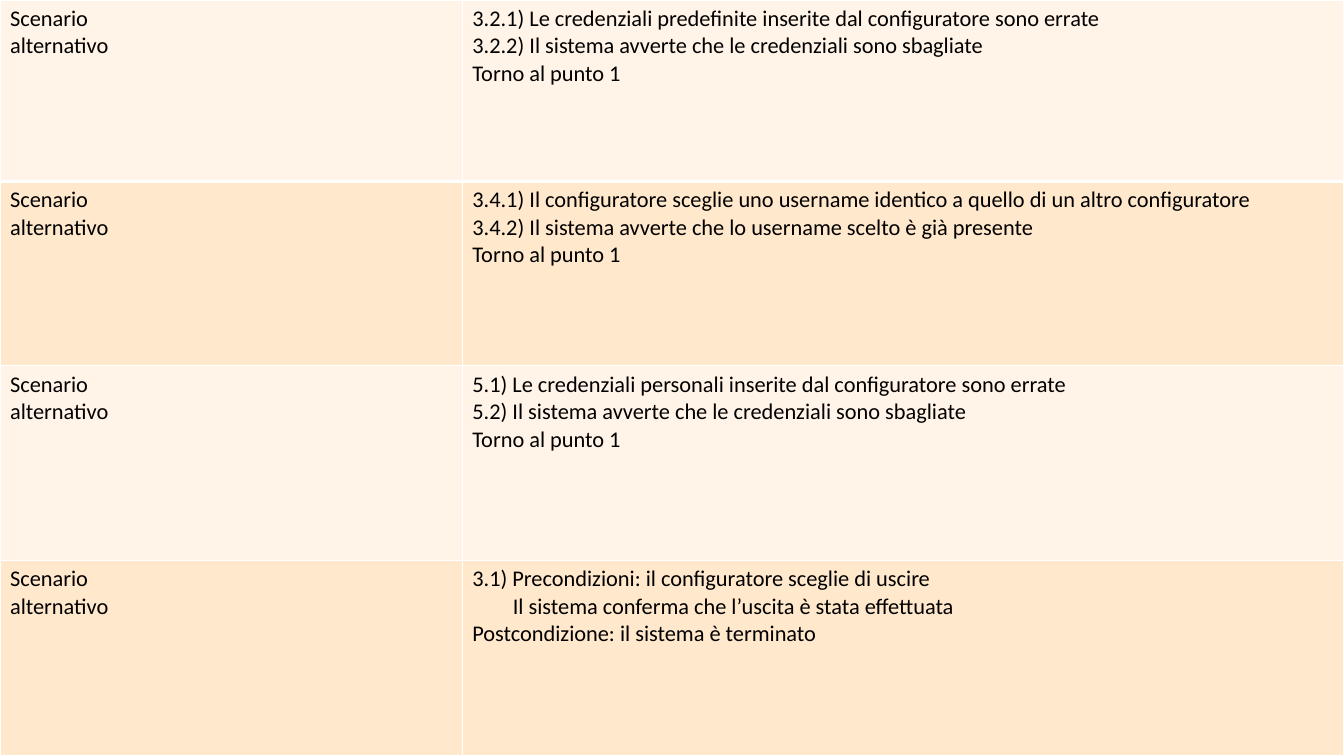
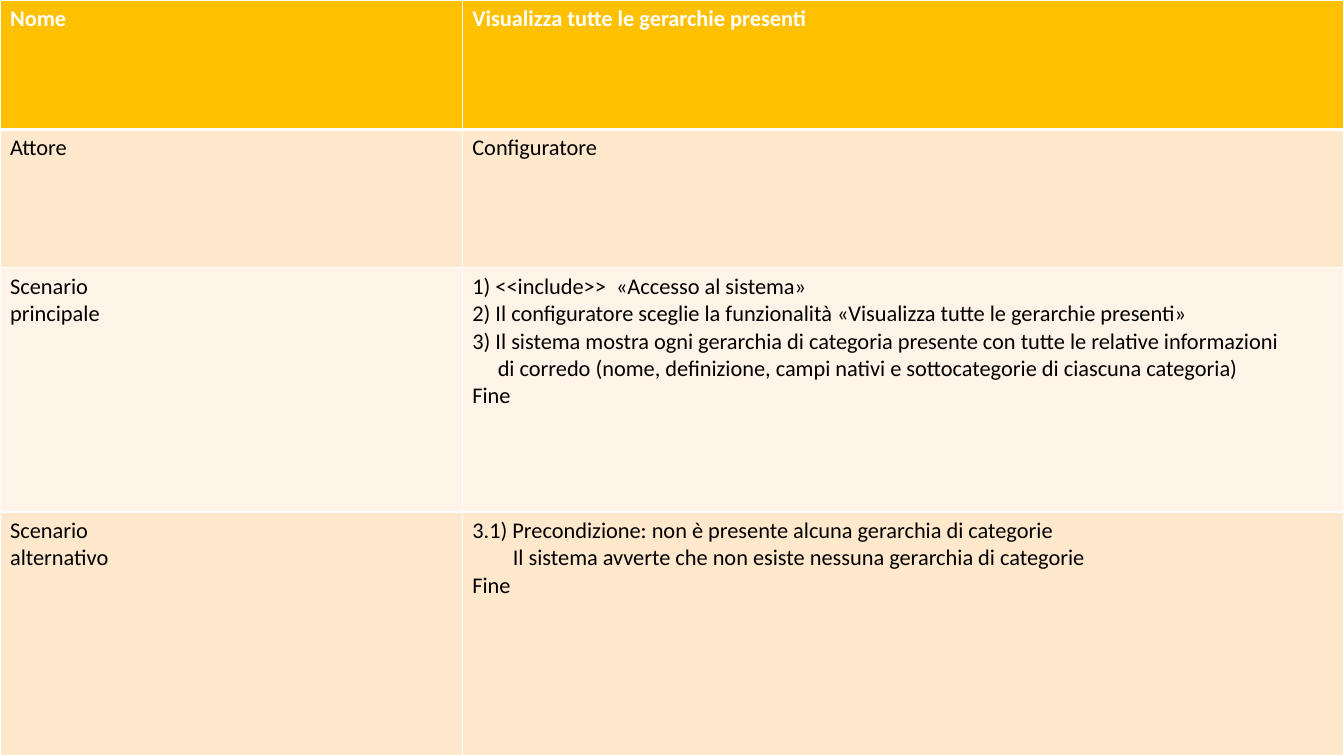
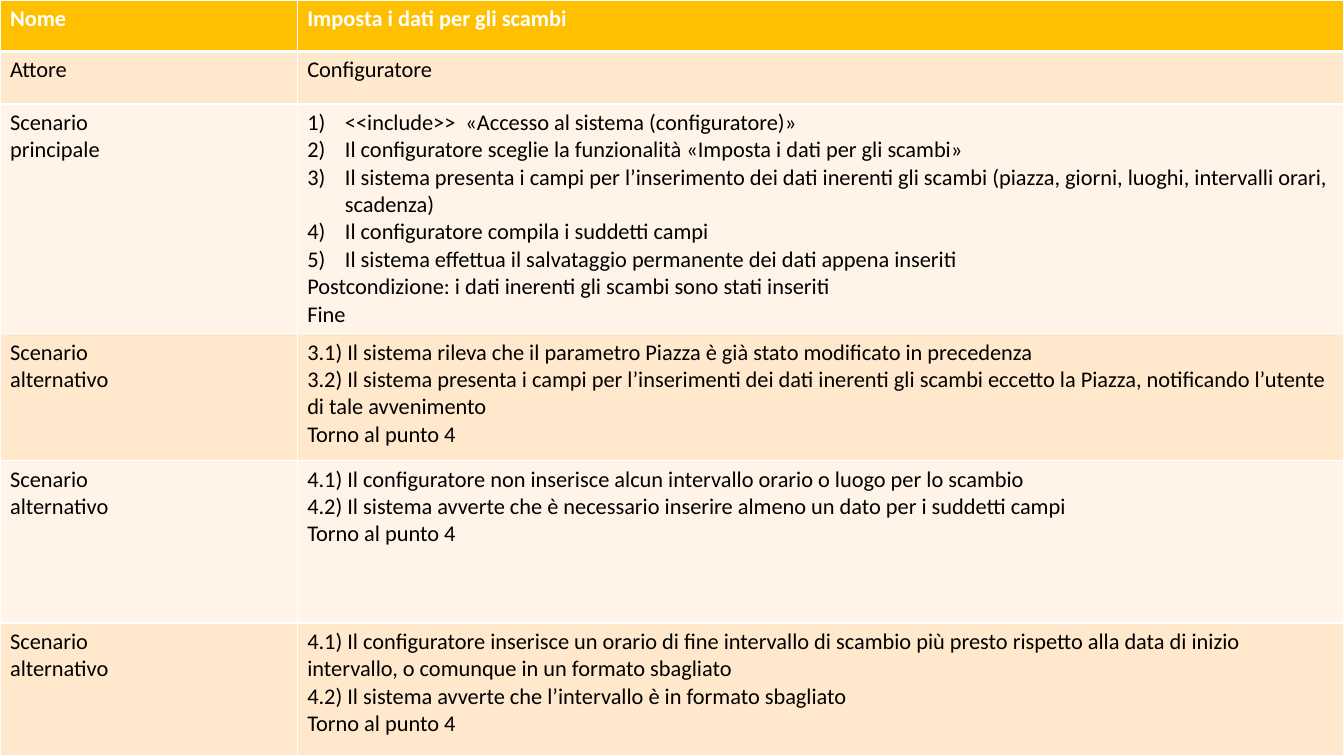
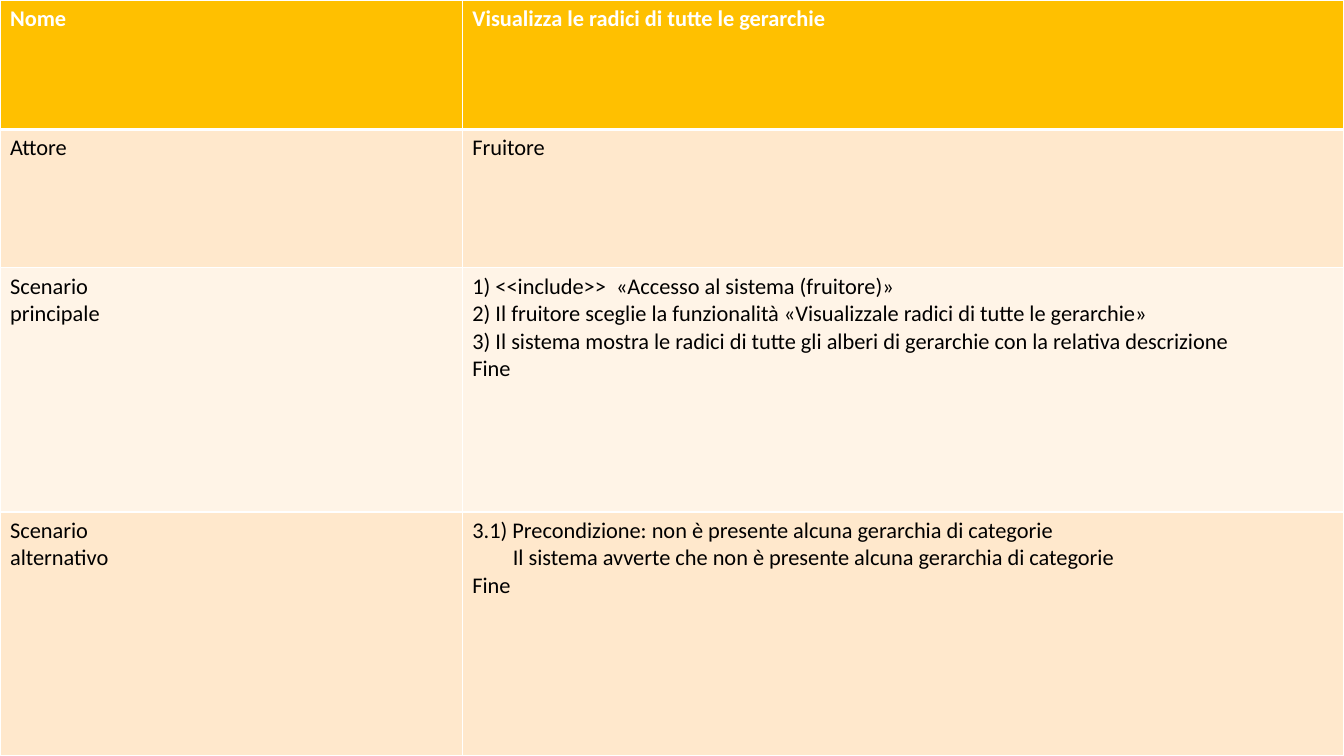
from dataclasses import dataclass

from lxml.etree import SubElement
from pptx import Presentation
from pptx.dml.color import RGBColor
from pptx.oxml.ns import qn
from pptx.util import Cm, Pt

# Shared style
WIDTH, HEIGHT = 33.87, 19.05
WHITE, BLACK, GOLD = "FFFFFF", "000000", "FFC000"
BANDS = ("FFF4E7", "FFE8CC")
BODY = {"name": "Calibri", "size": Pt(16), "bold": False}
HEADER = {**BODY, "bold": True}
THIN, THICK = 1, 3

# Row labels
MAIN = ("Scenario", "principale")
ALTERNATIVE = ("Scenario", "alternativo")


def color(value):
    return RGBColor.from_string(value)


@dataclass
class Line:
    """A paragraph with a left indent in cm, numbered or not."""
    text: str
    left: float = 0
    numbered: bool = False


def numbered(*texts):
    return [Line(text, 0.95, True) for text in texts]


def continued(text, left=1.02):
    return Line(text, left)


class Deck:
    def __init__(self):
        self.prs = Presentation()
        self.prs.slide_width, self.prs.slide_height = Cm(WIDTH), Cm(HEIGHT)
        self.s = None

    def slide(self):
        self.s = self.prs.slides.add_slide(self.prs.slide_layouts[6])

    def table(self, rows, heights, label_width=11.65, header=True):
        """Fill the slide with a table; the last row takes the height left."""
        heights = [*heights, HEIGHT - sum(heights)]
        frame = self.s.shapes.add_table(len(rows), 2, 0, 0, Cm(WIDTH), Cm(HEIGHT))
        tbl = frame.table
        tbl.first_row = tbl.horz_banding = False
        for col, width in zip(tbl.columns, (label_width, WIDTH - label_width)):
            col.width = Cm(width)
        for i, (row, height) in enumerate(zip(rows, heights)):
            tbl.rows[i].height = Cm(height)
            is_header = header and i == 0
            for j, lines in enumerate(row):
                cell = tbl.cell(i, j)
                self.borders(cell, top=THICK if i == 1 else THIN,
                             bottom=THICK if i == 0 else THIN)
                cell.fill.solid()
                cell.fill.fore_color.rgb = color(GOLD if is_header else BANDS[i % 2])
                self.text(cell.text_frame, lines, HEADER if is_header else BODY,
                          WHITE if is_header else BLACK)

    def borders(self, cell, top, bottom):
        tcPr = cell._tc.get_or_add_tcPr()
        for tag, width in (("lnL", THIN), ("lnR", THIN), ("lnT", top), ("lnB", bottom)):
            ln = SubElement(tcPr, qn(f"a:{tag}"), w=str(Pt(width)))
            fill = SubElement(ln, qn("a:solidFill"))
            SubElement(fill, qn("a:srgbClr"), val=WHITE)

    def text(self, tf, lines, style, ink):
        for i, line in enumerate(lines):
            if isinstance(line, str):
                line = Line(line)
            p = tf.add_paragraph() if i else tf.paragraphs[0]
            if line.left:
                pPr = p._p.get_or_add_pPr()
                pPr.set("marL", str(Cm(line.left)))
                if line.numbered:
                    pPr.set("indent", str(-Cm(line.left)))
                    SubElement(pPr, qn("a:buFont"), typeface="+mj-lt")
                    SubElement(pPr, qn("a:buAutoNum"), type="arabicParenR")
            r = p.add_run()
            r.text = line.text
            for name, value in style.items():
                setattr(r.font, name, value)
            r.font.color.rgb = color(ink)


def main():
    deck = Deck()
    overview_heights = (3.26, 3.49, 6.15)

    # Access to the system: alternative scenarios
    deck.slide()
    deck.table([
        (ALTERNATIVE, [
            "3.2.1) Le credenziali predefinite inserite dal configuratore sono errate",
            "3.2.2) Il sistema avverte che le credenziali sono sbagliate",
            "Torno al punto 1"]),
        (ALTERNATIVE, [
            "3.4.1) Il configuratore sceglie uno username identico a quello di un altro configuratore",
            "3.4.2) Il sistema avverte che lo username scelto è già presente",
            "Torno al punto 1"]),
        (ALTERNATIVE, [
            "5.1) Le credenziali personali inserite dal configuratore sono errate",
            "5.2) Il sistema avverte che le credenziali sono sbagliate",
            "Torno al punto 1"]),
        (ALTERNATIVE, [
            "3.1) Precondizioni: il configuratore sceglie di uscire",
            continued("Il sistema conferma che l’uscita è stata effettuata"),
            "Postcondizione: il sistema è terminato"]),
    ], (4.57, 4.65, 4.9), header=False)

    # Show all hierarchies
    deck.slide()
    deck.table([
        (["Nome"], ["Visualizza tutte le gerarchie presenti"]),
        (["Attore"], ["Configuratore"]),
        (MAIN, [
            "1) <<include>>  «Accesso al sistema»",
            "2) Il configuratore sceglie la funzionalità «Visualizza tutte le gerarchie presenti»",
            "3) Il sistema mostra ogni gerarchia di categoria presente con tutte le relative informazioni",
            continued("di corredo (nome, definizione, campi nativi e sottocategorie di ciascuna categoria)", 0.64),
            "Fine"]),
        (ALTERNATIVE, [
            "3.1) Precondizione: non è presente alcuna gerarchia di categorie",
            continued("Il sistema avverte che non esiste nessuna gerarchia di categorie"),
            "Fine"]),
    ], overview_heights)

    # Set the exchange data
    deck.slide()
    deck.table([
        (["Nome"], ["Imposta i dati per gli scambi"]),
        (["Attore"], ["Configuratore"]),
        (MAIN, [
            *numbered(
                "<<include>>  «Accesso al sistema (configuratore)»",
                "Il configuratore sceglie la funzionalità «Imposta i dati per gli scambi»",
                "Il sistema presenta i campi per l’inserimento dei dati inerenti gli scambi "
                "(piazza, giorni, luoghi, intervalli orari, scadenza)",
                "Il configuratore compila i suddetti campi",
                "Il sistema effettua il salvataggio permanente dei dati appena inseriti"),
            "Postcondizione: i dati inerenti gli scambi sono stati inseriti",
            "Fine"]),
        (ALTERNATIVE, [
            "3.1) Il sistema rileva che il parametro Piazza è già stato modificato in precedenza",
            "3.2) Il sistema presenta i campi per l’inserimenti dei dati inerenti gli scambi "
            "eccetto la Piazza, notificando l’utente di tale avvenimento",
            "Torno al punto 4"]),
        (ALTERNATIVE, [
            "4.1) Il configuratore non inserisce alcun intervallo orario o luogo per lo scambio",
            "4.2) Il sistema avverte che è necessario inserire almeno un dato per i suddetti campi",
            "Torno al punto 4"]),
        (ALTERNATIVE, [
            "4.1) Il configuratore inserisce un orario di fine intervallo di scambio più presto "
            "rispetto alla data di inizio intervallo, o comunque in un formato sbagliato",
            "4.2) Il sistema avverte che l’intervallo è in formato sbagliato",
            "Torno al punto 4"]),
    ], (1.3, 1.32, 5.79, 3.2, 4.09), label_width=7.49)

    # Show the roots of all hierarchies
    deck.slide()
    deck.table([
        (["Nome"], ["Visualizza le radici di tutte le gerarchie"]),
        (["Attore"], ["Fruitore"]),
        (MAIN, [
            "1) <<include>>  «Accesso al sistema (fruitore)»",
            "2) Il fruitore sceglie la funzionalità «Visualizzale radici di tutte le gerarchie»",
            "3) Il sistema mostra le radici di tutte gli alberi di gerarchie con la relativa descrizione",
            "Fine"]),
        (ALTERNATIVE, [
            "3.1) Precondizione: non è presente alcuna gerarchia di categorie",
            continued("Il sistema avverte che non è presente alcuna gerarchia di categorie"),
            "Fine"]),
    ], overview_heights)

    deck.prs.save("out.pptx")


if __name__ == "__main__":
    main()
